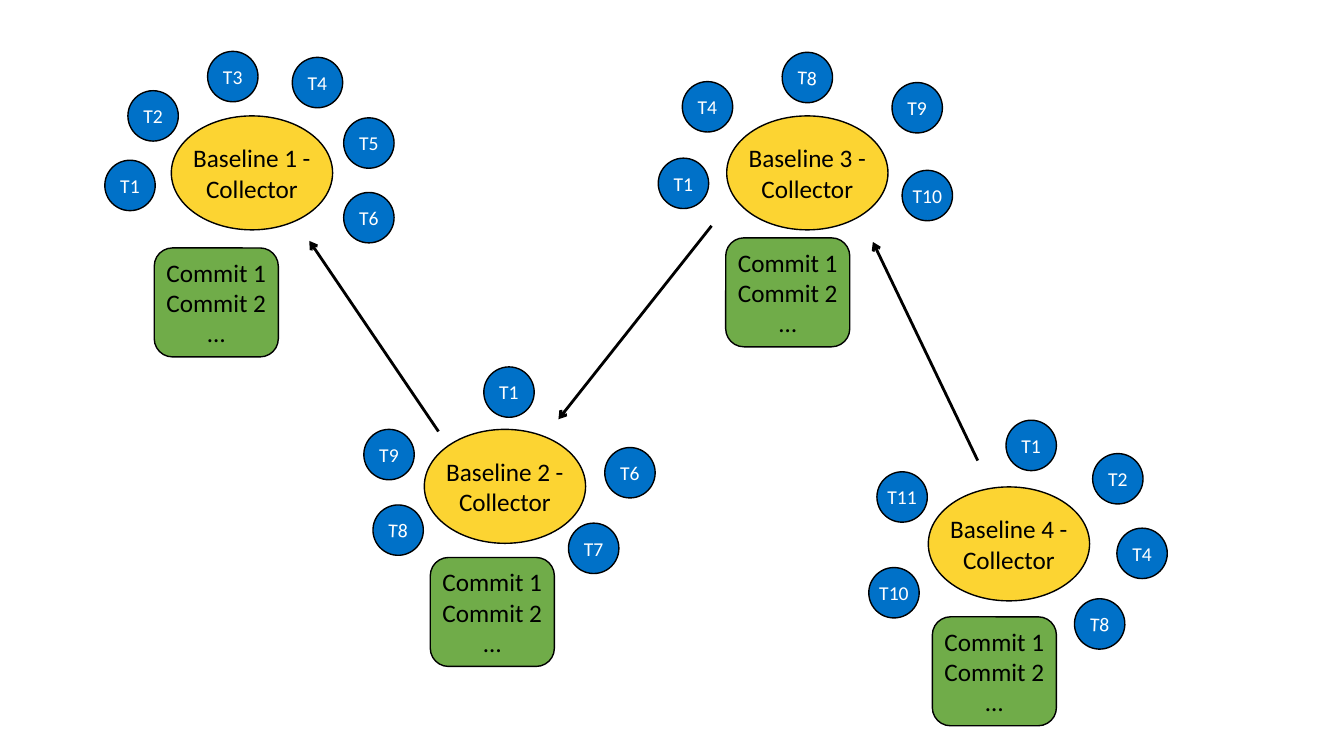
from pptx import Presentation
from pptx.dml.color import RGBColor
from pptx.enum import shapes, text
from pptx.oxml import ns
from pptx.util import Pt
from lxml import etree

COLOURS = {
    "baseline": "FCD432",
    "test": "0071C8",
    "commits": "70AC49",
    "ink": "000000",
    "paper": "FFFFFF",
}
COLLECTOR_SIZE = (115.2, 81.4)
TEST_SIZE = (36, 36)
COMMITS_SIZE = (88.6, 77.8)
TILTED_TEST = "T8"
TILT = 2.7

BASELINES = [
    ("Baseline 1 -", (122.4, 82.8), (110.2, 177.1), {
        "T1": (74.9, 114.5), "T2": (91.4, 64.8), "T3": (148.3, 36.7),
        "T4": (208.8, 41), "T5": (245.5, 84.2), "T6": (245.5, 137.5)}),
    ("Baseline 2 -", (303.1, 306.7), (307.4, 398.2), {
        "T1": (345.6, 262.1), "T6": (432, 319.7), "T7": (406.1, 373.7),
        "T8": (266.4, 360.7), "T9": (259.9, 306.7)}),
    ("Baseline 3 -", (519.1, 82.8), (518.4, 169.9), {
        "T1": (470.2, 113), "T4": (487.4, 58.3), "T8": (558.7, 37.4),
        "T9": (637.2, 59), "T10": (644.4, 121.7)}),
    ("Baseline 4 -", (663.1, 347.8), (666, 440.6), {
        "T1": (718.6, 300.2), "T2": (780.5, 324), "T4": (797.8, 377.3),
        "T8": (767.5, 427.7), "T10": (620.6, 405.4), "T11": (626.4, 337)}),
]
LINKS = [
    ((313.2, 308.2), (221, 172.1)),
    ((698.4, 329), (623.5, 172.8)),
    ((508.3, 161.3), (398.9, 299.5)),
]


def colour(name):
    return RGBColor.from_string(COLOURS[name])


def write(frame, lines, size=18, ink="ink", font="Calibri"):
    frame.word_wrap = False
    frame.vertical_anchor = text.MSO_ANCHOR.MIDDLE
    for index, line in enumerate(lines):
        paragraph = frame.add_paragraph() if index else frame.paragraphs[0]
        paragraph.alignment = text.PP_ALIGN.CENTER
        run = paragraph.add_run()
        run.text = line
        run.font.name = font
        run.font.size = Pt(size)
        run.font.color.rgb = colour(ink)


def add_node(slide, outline, position, extent, fill, lines, **text_format):
    node = slide.shapes.add_shape(outline, *map(Pt, position + extent))
    node.shadow.inherit = False
    node.fill.solid()
    node.fill.fore_color.rgb = colour(fill)
    node.line.color.rgb = colour("ink")
    node.line.width = Pt(1)
    write(node.text_frame, lines, **text_format)
    return node


def add_test(slide, label, position):
    test = add_node(slide, shapes.MSO_SHAPE.OVAL, position, TEST_SIZE, "test",
                    [label], size=14, ink="paper")
    if label == TILTED_TEST:
        test.rotation = TILT


def add_baseline(slide, title, collector_at, commits_at, tests):
    add_node(slide, shapes.MSO_SHAPE.OVAL, collector_at, COLLECTOR_SIZE,
             "baseline", [title, "Collector"])
    add_node(slide, shapes.MSO_SHAPE.ROUNDED_RECTANGLE, commits_at,
             COMMITS_SIZE, "commits", ["Commit 1", "Commit 2", "…"])
    for label, position in tests.items():
        add_test(slide, label, position)


def add_link(slide, start, end):
    link = slide.shapes.add_connector(
        shapes.MSO_CONNECTOR.STRAIGHT, *map(Pt, start + end))
    link.line.color.rgb = colour("ink")
    link.line.width = Pt(2)
    properties = link._element.spPr
    outline = properties.find(ns.qn("a:ln"))
    etree.SubElement(outline, ns.qn("a:tailEnd"), type="arrow")
    etree.SubElement(properties, ns.qn("a:effectLst"))


def main():
    deck = Presentation()
    deck.slide_width, deck.slide_height = Pt(960), Pt(540)
    slide = deck.slides.add_slide(deck.slide_layouts[6])
    for baseline in BASELINES:
        add_baseline(slide, *baseline)
    for start, end in LINKS:
        add_link(slide, start, end)
    deck.save("out.pptx")


if __name__ == "__main__":
    main()
